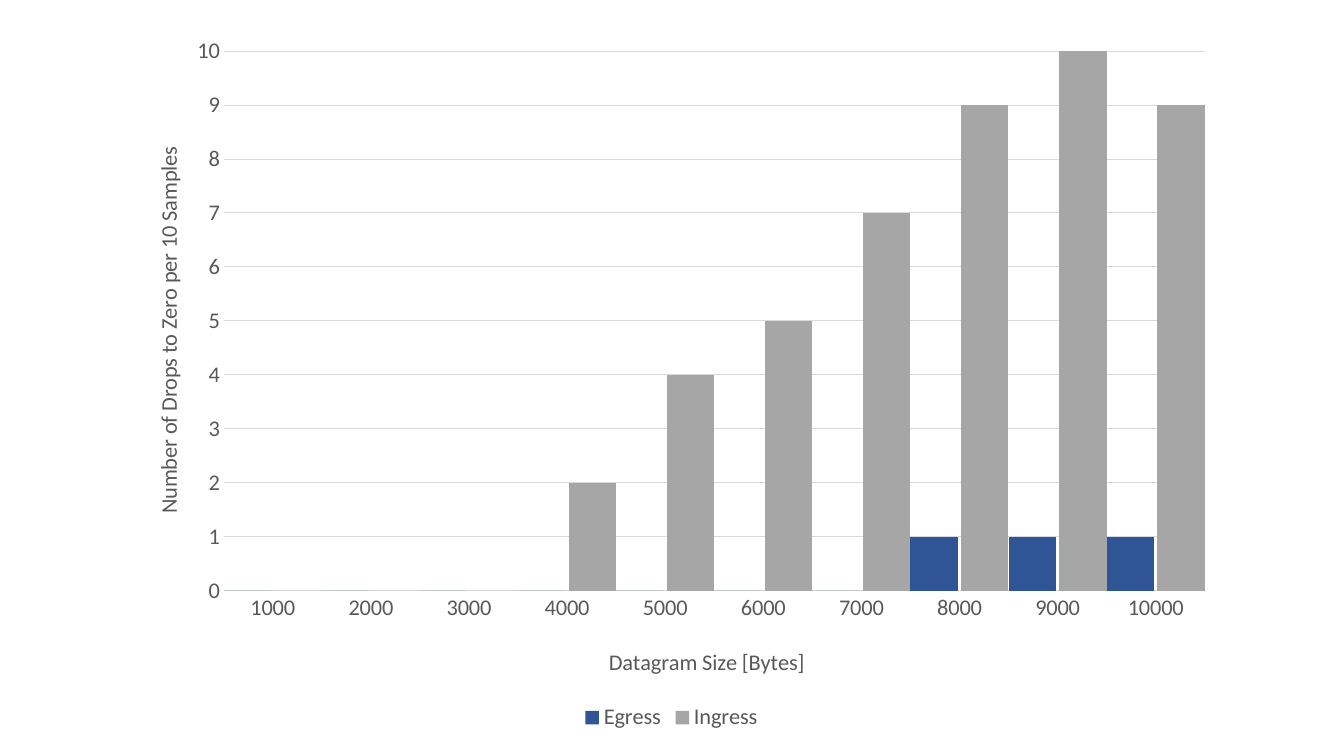
from lxml.etree import SubElement
from pptx import Presentation
from pptx.chart.data import CategoryChartData as Data
from pptx.dml.color import RGBColor
from pptx.enum.chart import XL_CHART_TYPE as Kind, XL_LEGEND_POSITION as Side, XL_TICK_MARK as Tick
from pptx.oxml.ns import qn
from pptx.util import Inches, Pt

BLUE = RGBColor(0x2F, 0x55, 0x97)
SILVER = RGBColor(0xA6, 0xA6, 0xA6)
GRAY = RGBColor(0x59, 0x59, 0x59)
PALE = RGBColor(0xD9, 0xD9, 0xD9)


def style(font):
    for key, val in {"name": "Calibri", "size": Pt(16), "bold": False}.items():
        setattr(font, key, val)
    font.color.rgb = GRAY


def place(node, index, **vals):
    for old in node.findall(qn("c:layout")):
        node.remove(old)
    layout = SubElement(node, qn("c:layout"))
    node.insert(index, layout)
    manual = SubElement(layout, qn("c:manualLayout"))
    for key, val in vals.items():
        SubElement(manual, qn("c:" + key)).set("val", str(val))


deck = Presentation()
deck.slide_width, deck.slide_height = Inches(13.33), Inches(7.5)
slide = deck.slides.add_slide(deck.slide_layouts[6])

data = Data()
data.categories = [str(size) for size in range(1000, 10001, 1000)]
data.add_series("Egress", [0] * 7 + [1] * 3)
data.add_series("Ingress", [0, 0, 0, 2, 4, 5, 7, 9, 10, 9])
chart = slide.shapes.add_chart(
    Kind.COLUMN_CLUSTERED, Inches(1.15), Inches(0.21), Inches(11.02), Inches(7.09), data
).chart
style(chart.font)
chart.has_title = False
chart.has_legend = True
chart.legend.position = Side.BOTTOM
chart.legend.include_in_layout = False
style(chart.legend.font)

plot = chart.plots[0]
plot.gap_width, plot.overlap = 0, -7
plot.vary_by_categories = False
for series, color in zip(plot.series, (BLUE, SILVER)):
    series.format.fill.solid()
    series.format.fill.fore_color.rgb = color
    series.invert_if_negative = False

sizes, drops = chart.category_axis, chart.value_axis
for axis, words, left, top in (
    (sizes, "Datagram Size [Bytes]", 0.44, 0.87),
    (drops, "Number of Drops to Zero per 10 Samples", 0.03, 0.17),
):
    axis.major_tick_mark = axis.minor_tick_mark = Tick.NONE
    style(axis.tick_labels.font)
    title = axis.axis_title
    title.text_frame.text = words
    style(title.text_frame.paragraphs[0].runs[0].font)
    place(title._element, 1, xMode="edge", yMode="edge", x=left, y=top)

drops.minimum_scale, drops.maximum_scale, drops.major_unit = 0, 10, 1
drops.format.line.fill.background()
for line in (sizes.format.line, drops.major_gridlines.format.line):
    line.color.rgb = PALE
    line.width = Pt(0.75)

place(chart._chartSpace.chart.plotArea, 0, layoutTarget="inner", xMode="edge",
      yMode="edge", x=0.097, y=0.042, w=0.883, h=0.755)

deck.save("out.pptx")
